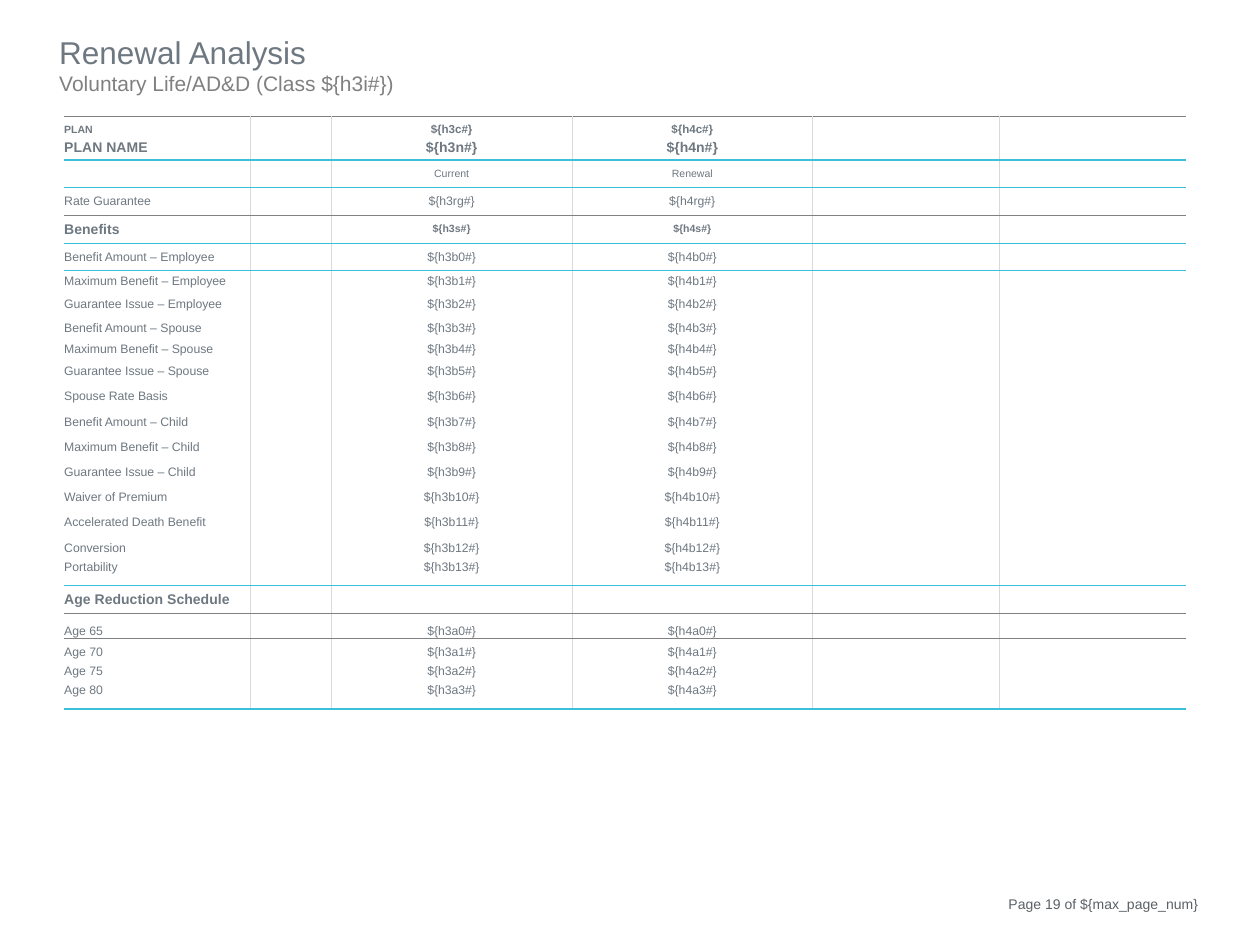
from lxml import etree
from pptx import Presentation
from pptx.dml.color import RGBColor
from pptx.enum.text import MSO_ANCHOR, MSO_AUTO_SIZE, PP_ALIGN
from pptx.oxml.ns import qn
from pptx.util import Inches, Pt

COLORS = {
    "text": "6E7881",
    "subtitle": "808080",
    "footer": "5A6166",
    "accent": "3AC0DA",
    "rule": "808080",
    "divider": "D7DADC",
}


def format_paragraph(paragraph, size, color, bold=False, alignment=PP_ALIGN.LEFT):
    paragraph.alignment = alignment
    paragraph.font.name = "Arial"
    paragraph.font.size = Pt(size)
    paragraph.font.bold = bold
    paragraph.font.color.rgb = RGBColor.from_string(COLORS[color])


def add_border(cell, side, color, width):
    properties = cell._tc.get_or_add_tcPr()
    line = etree.SubElement(properties, qn(f"a:ln{side}"), w=str(Pt(width)))
    fill = etree.SubElement(line, qn("a:solidFill"))
    etree.SubElement(fill, qn("a:srgbClr"), val=COLORS[color])


presentation = Presentation()
presentation.slide_width = Inches(10)
presentation.slide_height = Inches(7.5)
slide = presentation.slides.add_slide(presentation.slide_layouts[5])

title = slide.shapes.title
title.left, title.top = Inches(0.37), Inches(0.21)
title.width, title.height = Inches(4.72), Inches(0.61)
title_frame = title.text_frame
title_frame.text = "Renewal Analysis\nVoluntary Life/AD&D (Class ${h3i#})"
title_frame.vertical_anchor = MSO_ANCHOR.TOP
title_frame.auto_size = MSO_AUTO_SIZE.SHAPE_TO_FIT_TEXT
format_paragraph(title_frame.paragraphs[0], 18, "text")
format_paragraph(title_frame.paragraphs[1], 12, "subtitle")

benefits = [
    f"{name} – {person}"
    for person in ("Employee", "Spouse", "Child")
    for name in ("Benefit Amount", "Maximum Benefit", "Guarantee Issue")
]
benefits.insert(6, "Spouse Rate Basis")
benefits += ["Waiver of Premium", "Accelerated Death Benefit", "Conversion", "Portability"]

plans = ("h3", "h4")
rows = [
    ["PLAN"] + [f"${{{plan}c#}}" for plan in plans],
    ["PLAN NAME"] + [f"${{{plan}n#}}" for plan in plans],
    ["", "Current", "Renewal"],
    ["Rate Guarantee"] + [f"${{{plan}rg#}}" for plan in plans],
    ["Benefits"] + [f"${{{plan}s#}}" for plan in plans],
]
for index, benefit in enumerate(benefits):
    rows.append([benefit] + [f"${{{plan}b{index}#}}" for plan in plans])
rows.append(["Age Reduction Schedule", "", ""])
for index, age in enumerate((65, 70, 75, 80)):
    rows.append([f"Age {age}"] + [f"${{{plan}a{index}#}}" for plan in plans])

column_widths = [1.48, 0.64, 1.91, 1.91, 1.48, 1.48]
row_heights = [0.16, 0.19, 0.22, 0.22, 0.22, 0.22, 0.16, 0.22, 0.16, 0.16]
row_heights += [0.2] * 9 + [0.22, 0.2, 0.16, 0.2, 0.2]
label_sizes = {0: 6, 1: 8, 4: 8, 19: 8}
value_sizes = {0: 6.6, 1: 8, 2: 6, 4: 6}
bold_rows = {0, 1, 4, 19}
anchors = {row: MSO_ANCHOR.BOTTOM for row in (0, 20, 21)}
anchors.update({row: MSO_ANCHOR.TOP for row in (18, 23)})
rules = {
    0: ("rule", 0.5),
    2: ("accent", 1),
    4: ("rule", 0.5),
    5: ("accent", 0.5),
    19: ("accent", 0.5),
    20: ("rule", 0.5),
    24: ("accent", 1),
}

table_shape = slide.shapes.add_table(
    len(rows), len(column_widths), Inches(0.51), Inches(0.92), Inches(8.91), Inches(4.69)
)
table = table_shape.table
table.first_row = False
table.horz_banding = False
style = table._tbl.tblPr.find(qn("a:tableStyleId"))
style.text = "{2D5ABB26-0587-4C30-8999-92F81FD0307C}"
for column, width in zip(table.columns, column_widths):
    column.width = Inches(width)
for row, height in zip(table.rows, row_heights):
    row.height = Inches(height)

for row_index, (label, current, renewal) in enumerate(rows):
    for column_index, text in enumerate([label, "", current, renewal, "", ""]):
        cell = table.cell(row_index, column_index)
        cell.margin_left = cell.margin_right = cell.margin_top = cell.margin_bottom = 0
        cell.vertical_anchor = anchors.get(row_index, MSO_ANCHOR.MIDDLE)
        if 1 <= column_index <= 4:
            add_border(cell, "L", "divider", 0.5)
        if column_index <= 3:
            add_border(cell, "R", "divider", 0.5)
        for side, boundary in (("T", row_index), ("B", row_index + 1)):
            if boundary in rules:
                add_border(cell, side, *rules[boundary])
        cell.fill.background()
        paragraph = cell.text_frame.paragraphs[0]
        if text:
            cell.text = text
            paragraph = cell.text_frame.paragraphs[0]
            sizes = value_sizes if column_index else label_sizes
            alignment = PP_ALIGN.CENTER if column_index else PP_ALIGN.LEFT
            format_paragraph(
                paragraph, sizes.get(row_index, 7), "text", row_index in bold_rows, alignment
            )
        else:
            etree.SubElement(paragraph._p, qn("a:endParaRPr"), sz="600")

footer = slide.shapes.add_textbox(Inches(7.36), Inches(7.06), Inches(2.25), Inches(0.33))
footer.text_frame.word_wrap = True
footer.text_frame.text = "Page 19 of ${max_page_num}"
format_paragraph(footer.text_frame.paragraphs[0], 8, "footer", alignment=PP_ALIGN.RIGHT)

presentation.save("out.pptx")
